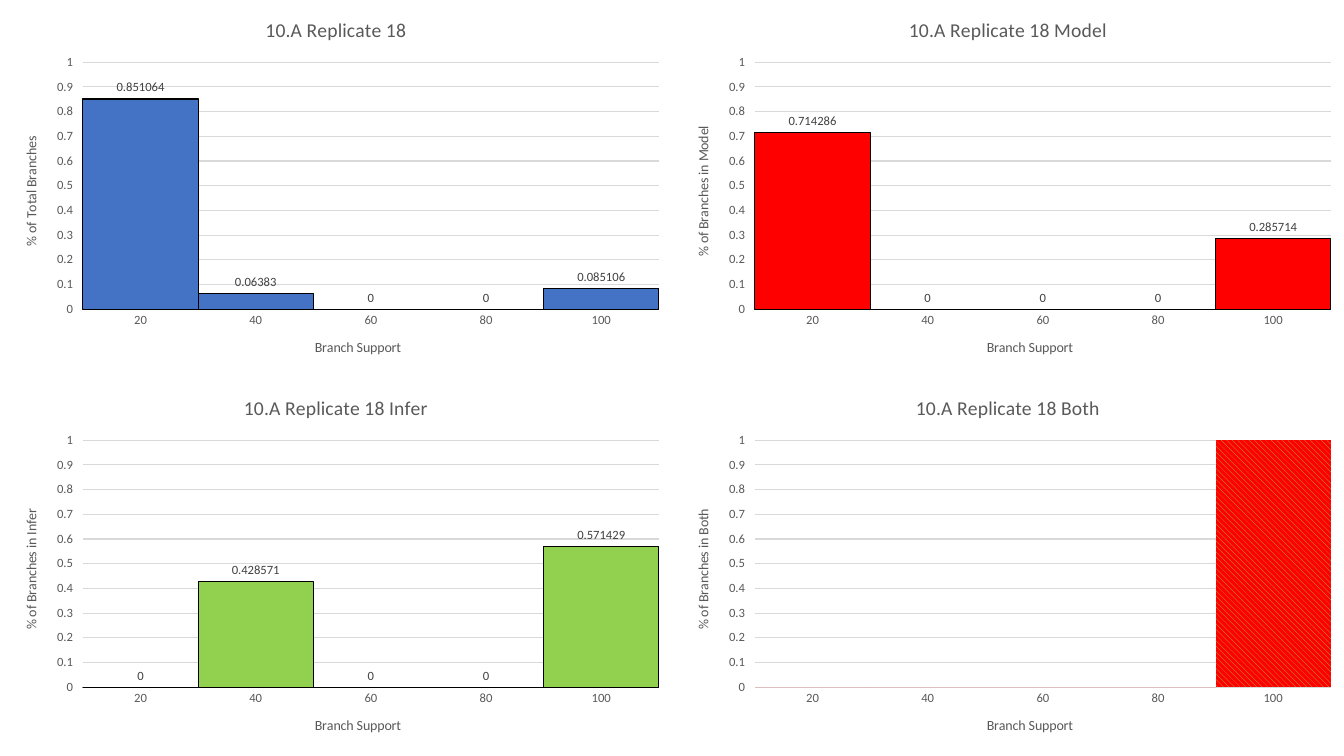
import pptx
import pptx.chart.data
import pptx.dml.color
import pptx.enum.chart
import pptx.enum.dml
import pptx.oxml
import pptx.oxml.ns
import pptx.util

Pt = pptx.util.Pt
CHART = pptx.enum.chart
CHART_W, CHART_H = 480, 270
SUPPORT = ["20", "40", "60", "80", "100"]
# inner plot area in points within each chart
PLOT_X, PLOT_Y, PLOT_W, PLOT_H = 59.3, 44.5, 411.4, 176.4

# title suffix, value axis subject, bar colour, shares
PANELS = [
    ("", "Total Branches", "4472C4", [0.851064, 0.06383, 0, 0, 0.085106]),
    (" Model", "Branches in Model", "FF0000", [0.714286, 0, 0, 0, 0.285714]),
    (" Infer", "Branches in Infer", "92D050", [0, 0.428571, 0, 0, 0.571429]),
    (" Both", "Branches in Both", ("92D050", "FF0000"), [0, 0, 0, 0, 1]),
]


def rgb(value):
    return pptx.dml.color.RGBColor.from_string(value)


def apply(obj, values):
    """Set each attribute named in values on obj."""
    for name, value in values.items():
        setattr(obj, name, value)


class HistogramSlide:
    font = "Calibri"
    text, label, grid, outline = "595959", "404040", "D9D9D9", "000000"

    def __init__(self, prs):
        self.s = prs.slides.add_slide(prs.slide_layouts[6])

    def style_font(self, font, size, color):
        apply(font, {"name": self.font, "size": Pt(size), "bold": False})
        font.color.rgb = rgb(color)

    def style_line(self, line, color):
        line.width = Pt(0.75)
        line.color.rgb = rgb(color)

    def title(self, owner, text, size):
        """Write the title of a chart or an axis."""
        tf = owner.text_frame
        tf.text = text
        self.style_font(tf.paragraphs[0].runs[0].font, size, self.text)
        return tf

    def axes(self, chart, subject):
        cat, val = chart.category_axis, chart.value_axis
        apply(cat, {"major_tick_mark": CHART.XL_TICK_MARK.NONE,
                    "has_major_gridlines": False})
        apply(val, {"minimum_scale": 0, "maximum_scale": 1, "major_unit": 0.1,
                    "major_tick_mark": CHART.XL_TICK_MARK.OUTSIDE,
                    "has_major_gridlines": True})
        for axis, text in ((cat, "Branch Support"), (val, f"% of {subject}")):
            axis.minor_tick_mark = CHART.XL_TICK_MARK.NONE
            self.style_font(axis.tick_labels.font, 9, self.text)
            tf = self.title(axis.axis_title, text, 10)
        tf._txBody.bodyPr.set("rot", "-5400000")
        self.style_line(cat.format.line, self.grid)
        val.format.line.fill.background()
        self.style_line(val.major_gridlines.format.line, self.grid)

    def bars(self, plot, color):
        """Fill with one colour plus labels, or with a two-colour pattern."""
        apply(plot, {"gap_width": 0, "vary_by_categories": False})
        series = plot.series[0]
        series.invert_if_negative = False
        fill = series.format.fill
        if isinstance(color, tuple):
            fill.patterned()
            fill.pattern = pptx.enum.dml.MSO_PATTERN.WIDE_DOWNWARD_DIAGONAL
            fill.fore_color.rgb, fill.back_color.rgb = map(rgb, color)
            series.format.line.fill.background()
            return
        fill.solid()
        fill.fore_color.rgb = rgb(color)
        self.style_line(series.format.line, self.outline)
        labels = series.data_labels
        apply(labels, {"show_value": True,
                       "position": CHART.XL_LABEL_POSITION.OUTSIDE_END})
        self.style_font(labels.font, 9, self.label)

    def plot_box(self, chart):
        """Fix the inner plot area as fractions of the chart."""
        area = chart._chartSpace.chart.plotArea
        for old in area.findall(pptx.oxml.ns.qn("c:layout")):
            area.remove(old)
        box = {"x": PLOT_X / CHART_W, "y": PLOT_Y / CHART_H,
               "w": PLOT_W / CHART_W, "h": PLOT_H / CHART_H}
        modes = "".join(f'<c:{k}Mode val="edge"/>' for k in "xy")
        sizes = "".join(f'<c:{k} val="{v:.4f}"/>' for k, v in box.items())
        area.insert(0, pptx.oxml.parse_xml(
            f'<c:layout {pptx.oxml.ns.nsdecls("c")}><c:manualLayout>'
            f'<c:layoutTarget val="inner"/>{modes}{sizes}'
            '</c:manualLayout></c:layout>'))

    def histogram(self, x, y, suffix, subject, color, shares):
        data = pptx.chart.data.CategoryChartData()
        data.categories = SUPPORT
        data.add_series("Series 1", shares)
        chart = self.s.shapes.add_chart(
            CHART.XL_CHART_TYPE.COLUMN_CLUSTERED,
            Pt(x), Pt(y), Pt(CHART_W), Pt(CHART_H), data).chart
        self.style_font(chart.font, 10, self.outline)
        apply(chart, {"has_legend": False, "has_title": True})
        self.title(chart.chart_title, f"10.A Replicate 18{suffix}", 14)
        self.axes(chart, subject)
        self.bars(chart.plots[0], color)
        self.plot_box(chart)


def main():
    prs = pptx.Presentation()
    apply(prs, {"slide_width": Pt(2 * CHART_W), "slide_height": Pt(2 * CHART_H)})
    slide = HistogramSlide(prs)
    for i, panel in enumerate(PANELS):
        row, col = divmod(i, 2)
        slide.histogram(col * CHART_W, row * CHART_H, *panel)
    prs.save("out.pptx")


if __name__ == "__main__":
    main()
